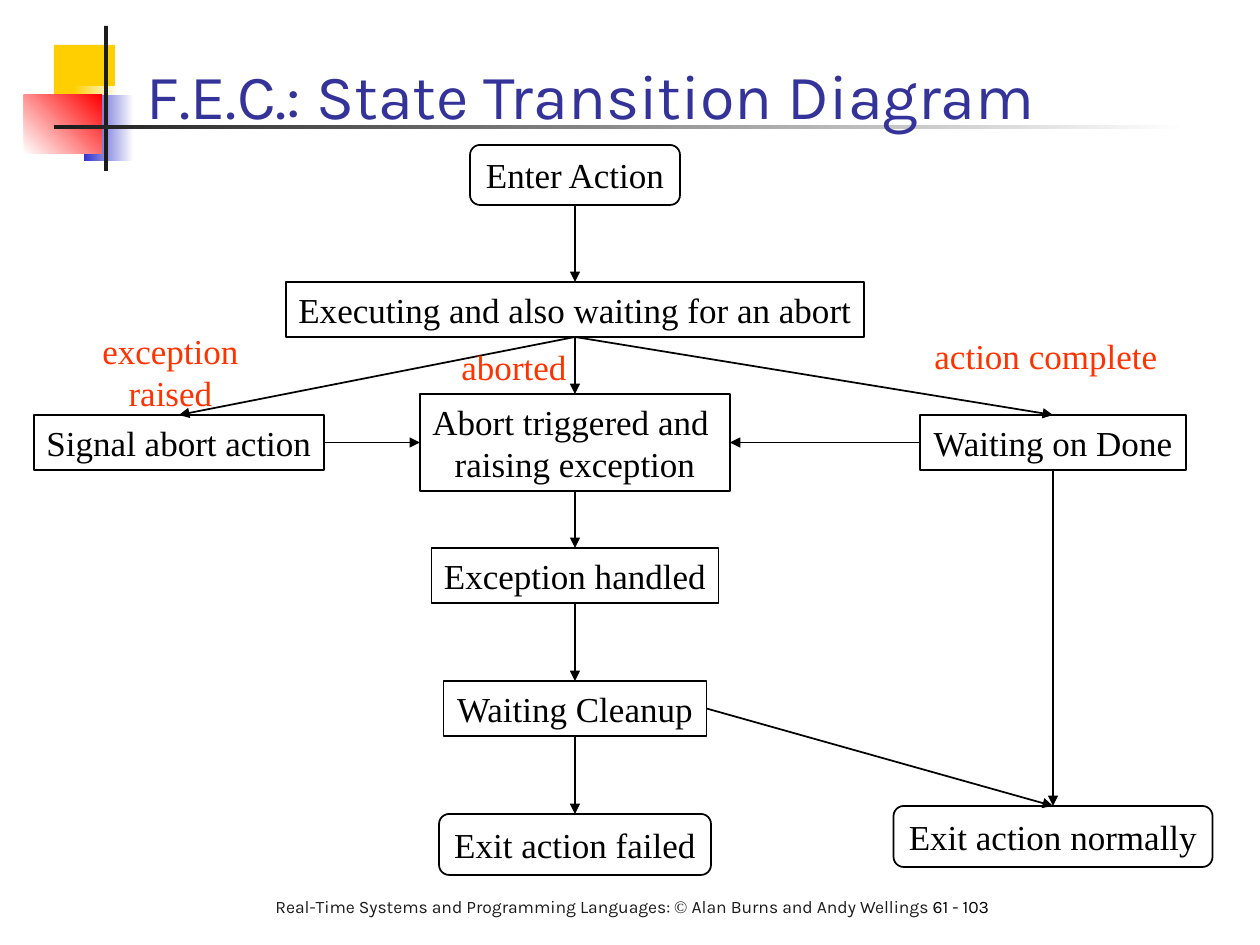
from dataclasses import dataclass

from lxml import etree
from pptx import Presentation
from pptx.dml.color import RGBColor
from pptx.enum.shapes import MSO_CONNECTOR, MSO_SHAPE
from pptx.enum.text import MSO_ANCHOR, PP_ALIGN
from pptx.oxml.ns import qn
from pptx.util import Pt

PX = 914400 / 126  # EMU in one px


@dataclass(frozen=True)
class Theme:
    ink: str = "000000"
    charcoal: str = "1C1C1C"
    paper: str = "FFFFFF"
    title: str = "333399"
    event: str = "FF3300"
    yellow: str = "FFCF01"
    blue: str = "3333CC"
    red: str = "FF0000"
    sans: str = "Karla"
    serif: str = "Times New Roman"
    title_size: int = 36
    state_size: int = 20
    footer_size: int = 10
    line_width: int = 1


THEME = Theme()

# Content: places are left, top, width, height in px
TITLE = "F.E.C.: State Transition Diagram"
TITLE_PLACE = (134, 16, 1074, 122)

FOOTER = [
    ("Real-Time Systems and Programming Languages: ", THEME.sans, THEME.charcoal),
    ("©", THEME.serif, THEME.charcoal),
    (" Alan Burns and Andy Wellings ", THEME.sans, THEME.charcoal),
    ("61 - 103", THEME.sans, THEME.ink),
]
FOOTER_PLACE = (263, 890, 764, 58)

# Place, colours from start to end, gradient angle
ORNAMENTS = [
    ((54, 45, 61, 66), [THEME.yellow], 0),
    ((74, 86, 45, 66), [THEME.yellow, THEME.paper], 0),
    ((84, 95, 50, 66), [THEME.blue, THEME.paper], 0),
    ((24, 95, 78, 59), [THEME.paper, THEME.red], 45),
    ((104, 26, 4, 145), [THEME.charcoal], 0),
    ((54, 125, 1134, 4), [THEME.charcoal, THEME.paper], 0),
]

MAIN_X, SIGNAL_X, DONE_X = 575, 179, 1053  # column centres
STEP, END = MSO_SHAPE.RECTANGLE, MSO_SHAPE.FLOWCHART_ALTERNATE_PROCESS

# Key: lines, outline, column centre, top, width, height
STATES = {
    "enter": (["Enter Action"], END, MAIN_X, 145, 210, 60),
    "executing": (["Executing and also waiting for an abort"], STEP, MAIN_X, 282, 578, 55),
    "signal": (["Signal abort action"], STEP, SIGNAL_X, 415, 290, 55),
    "abort": (["Abort triggered and ", "raising exception"], STEP, MAIN_X, 394, 310, 97),
    "done": (["Waiting on Done"], STEP, DONE_X, 415, 266, 55),
    "handled": (["Exception handled"], STEP, MAIN_X, 548, 287, 55),
    "cleanup": (["Waiting Cleanup"], STEP, MAIN_X, 681, 263, 55),
    "failed": (["Exit action failed"], END, MAIN_X, 814, 272, 61),
    "normal": (["Exit action normally"], END, DONE_X, 806, 319, 61),
}

TOP, LEFT, BOTTOM, RIGHT = range(4)  # connection sites
TRANSITIONS = [
    ("enter", BOTTOM, "executing", TOP),
    ("executing", BOTTOM, "abort", TOP),
    ("executing", BOTTOM, "signal", TOP),
    ("executing", BOTTOM, "done", TOP),
    ("signal", RIGHT, "abort", LEFT),
    ("done", LEFT, "abort", RIGHT),
    ("abort", BOTTOM, "handled", TOP),
    ("handled", BOTTOM, "cleanup", TOP),
    ("cleanup", BOTTOM, "failed", TOP),
    ("done", BOTTOM, "normal", TOP),
    ("cleanup", RIGHT, "normal", TOP),
]

EVENTS = [
    ("exception raised", (44, 344, 253, 55)),
    ("aborted", (449, 339, 130, 55)),
    ("action complete", (922, 328, 248, 55)),
]


def emu(lengths):
    return [round(length * PX) for length in lengths]


def color(value):
    return RGBColor.from_string(value)


def add_run(paragraph, text, face, size, ink):
    run = paragraph.add_run()
    run.text = text
    run.font.name, run.font.size = face, Pt(size)
    run.font.color.rgb = color(ink)


def write_centred(frame, lines, ink):
    frame.word_wrap = False
    frame.vertical_anchor = MSO_ANCHOR.MIDDLE
    for index, line in enumerate(lines):
        paragraph = frame.add_paragraph() if index else frame.paragraphs[0]
        paragraph.alignment = PP_ALIGN.CENTER
        add_run(paragraph, line, THEME.serif, THEME.state_size, ink)


def add_ornament(slide, place, colors, angle):
    ornament = slide.shapes.add_shape(MSO_SHAPE.RECTANGLE, *emu(place))
    ornament.shadow.inherit = False
    ornament.line.fill.background()
    if len(colors) == 1:
        ornament.fill.solid()
        ornament.fill.fore_color.rgb = color(colors[0])
        return
    ornament.fill.gradient()
    ornament.fill.gradient_angle = angle
    for stop, value, position in zip(ornament.fill.gradient_stops, colors, (0, 1)):
        stop.color.rgb = color(value)
        stop.position = position


def add_state(slide, lines, outline, center, top, width, height):
    state = slide.shapes.add_shape(outline, *emu((center - width / 2, top, width, height)))
    state.shadow.inherit = False
    state.fill.background()
    state.line.color.rgb = color(THEME.ink)
    state.line.width = Pt(THEME.line_width)
    write_centred(state.text_frame, lines, THEME.ink)
    return state


def add_transition(slide, source, source_site, target, target_site):
    arrow = slide.shapes.add_connector(MSO_CONNECTOR.STRAIGHT, 0, 0, 0, 0)
    arrow.begin_connect(source, source_site)
    arrow.end_connect(target, target_site)
    arrow.line.color.rgb = color(THEME.ink)
    arrow.line.width = Pt(THEME.line_width)
    properties = arrow.element.spPr
    etree.SubElement(properties.find(qn("a:ln")), qn("a:tailEnd"), type="triangle")
    etree.SubElement(properties, qn("a:effectLst"))


def main():
    deck = Presentation()
    deck.slide_width, deck.slide_height = emu((1260, 945))
    slide = deck.slides.add_slide(deck.slide_layouts[6])

    # Corner ornament and title rule
    for ornament in ORNAMENTS:
        add_ornament(slide, *ornament)

    # Footer and title
    footer = slide.shapes.add_textbox(*emu(FOOTER_PLACE)).text_frame
    footer.word_wrap = True
    for text, face, ink in FOOTER:
        add_run(footer.paragraphs[0], text, face, THEME.footer_size, ink)

    title = slide.shapes.add_textbox(*emu(TITLE_PLACE)).text_frame
    title.word_wrap = True
    title.vertical_anchor = MSO_ANCHOR.BOTTOM
    add_run(title.paragraphs[0], TITLE, THEME.sans, THEME.title_size, THEME.title)

    # State diagram
    states = {key: add_state(slide, *state) for key, state in STATES.items()}
    for source, source_site, target, target_site in TRANSITIONS:
        add_transition(slide, states[source], source_site, states[target], target_site)
    for event, place in EVENTS:
        label = slide.shapes.add_textbox(*emu(place))
        write_centred(label.text_frame, [event], THEME.event)

    deck.save("out.pptx")


if __name__ == "__main__":
    main()
